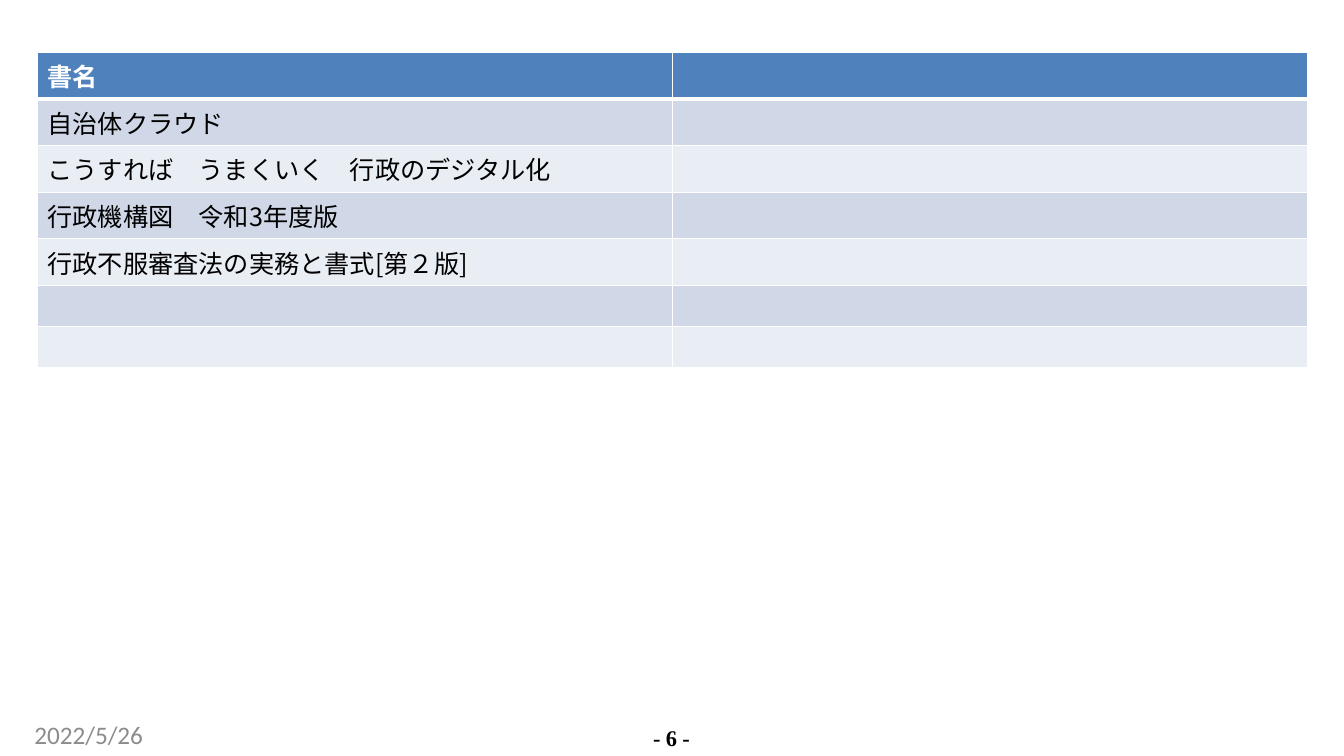
from lxml import etree
from pptx import Presentation
from pptx.dml.color import RGBColor
from pptx.enum.text import PP_ALIGN
from pptx.oxml.ns import qn
from pptx.util import Inches, Pt

CENTER = PP_ALIGN.CENTER
LEFT = PP_ALIGN.LEFT
JAPANESE_FONT = "Noto Sans CJK JP"
COLORS = {
    "header": "4F81BD",
    "band_dark": "D0D8E8",
    "band_light": "E9EDF4",
    "white": "FFFFFF",
    "black": "000000",
    "date": "8C8C8C",
}
BOOKS = [
    "自治体クラウド",
    "こうすれば　うまくいく　行政のデジタル化",
    "行政機構図　令和3年度版",
    "行政不服審査法の実務と書式[第２版]",
]
ROW_COUNT, COLUMN_COUNT = 7, 2


def format_font(font, name, size, color, bold=False):
    font.name = name
    font.size = Pt(size)
    font.bold = bold
    font.color.rgb = RGBColor.from_string(COLORS[color])


def add_border(cell, side, width):
    properties = cell._tc.get_or_add_tcPr()
    line = etree.SubElement(properties, qn(f"a:ln{side}"), w=str(Pt(width)))
    fill = etree.SubElement(line, qn("a:solidFill"))
    etree.SubElement(fill, qn("a:srgbClr"), val=COLORS["white"])


presentation = Presentation()
presentation.slide_width = Inches(13.33)
presentation.slide_height = Inches(7.5)
slide = presentation.slides.add_slide(presentation.slide_layouts[6])

# Book table
table = slide.shapes.add_table(
    ROW_COUNT, COLUMN_COUNT, Inches(0.37), Inches(0.52), Inches(12.6), Inches(2.84)
).table
titles = ["書名"] + BOOKS
for row_index, row in enumerate(table.rows):
    is_header = row_index == 0
    if is_header:
        fill_color = "header"
    else:
        fill_color = "band_dark" if row_index % 2 else "band_light"
    for column_index, cell in enumerate(row.cells):
        # Borders come before the fill in the cell properties
        add_border(cell, "L", 1)
        add_border(cell, "R", 1)
        add_border(cell, "T", 3 if row_index == 1 else 1)
        add_border(cell, "B", 3 if is_header else 1)
        cell.fill.solid()
        cell.fill.fore_color.rgb = RGBColor.from_string(COLORS[fill_color])

        paragraph = cell.text_frame.paragraphs[0]
        if column_index == 0 and row_index < len(titles):
            paragraph.text = titles[row_index]
            run = paragraph.runs[0]
            if is_header:
                format_font(run.font, "Calibri", 18, "white", True)
            else:
                format_font(run.font, JAPANESE_FONT, 18, "black")
            etree.SubElement(run.font._element, qn("a:ea"), typeface=JAPANESE_FONT)
        else:
            paragraph.font.size = Pt(18)

# Date and page number
footers = [
    ("2022/5/26", (0.34, 7.14, 3.07, 0.3), LEFT, ("Calibri", 18, "date")),
    ("- 6 -", (6.23, 7.19, 0.86, 0.25), CENTER, ("Times New Roman", 16, "black", True)),
]
for text, bounds, alignment, font_style in footers:
    shape = slide.shapes.add_textbox(*map(Inches, bounds))
    frame = shape.text_frame
    frame.word_wrap = True
    frame.margin_left = frame.margin_right = frame.margin_top = frame.margin_bottom = 0
    frame.text = text
    paragraph = frame.paragraphs[0]
    paragraph.alignment = alignment
    format_font(paragraph.runs[0].font, *font_style)
    if alignment == CENTER:
        paragraph.line_spacing = Pt(18.4)
        paragraph.runs[0].font._element.set("spc", "-10")

presentation.save("out.pptx")
